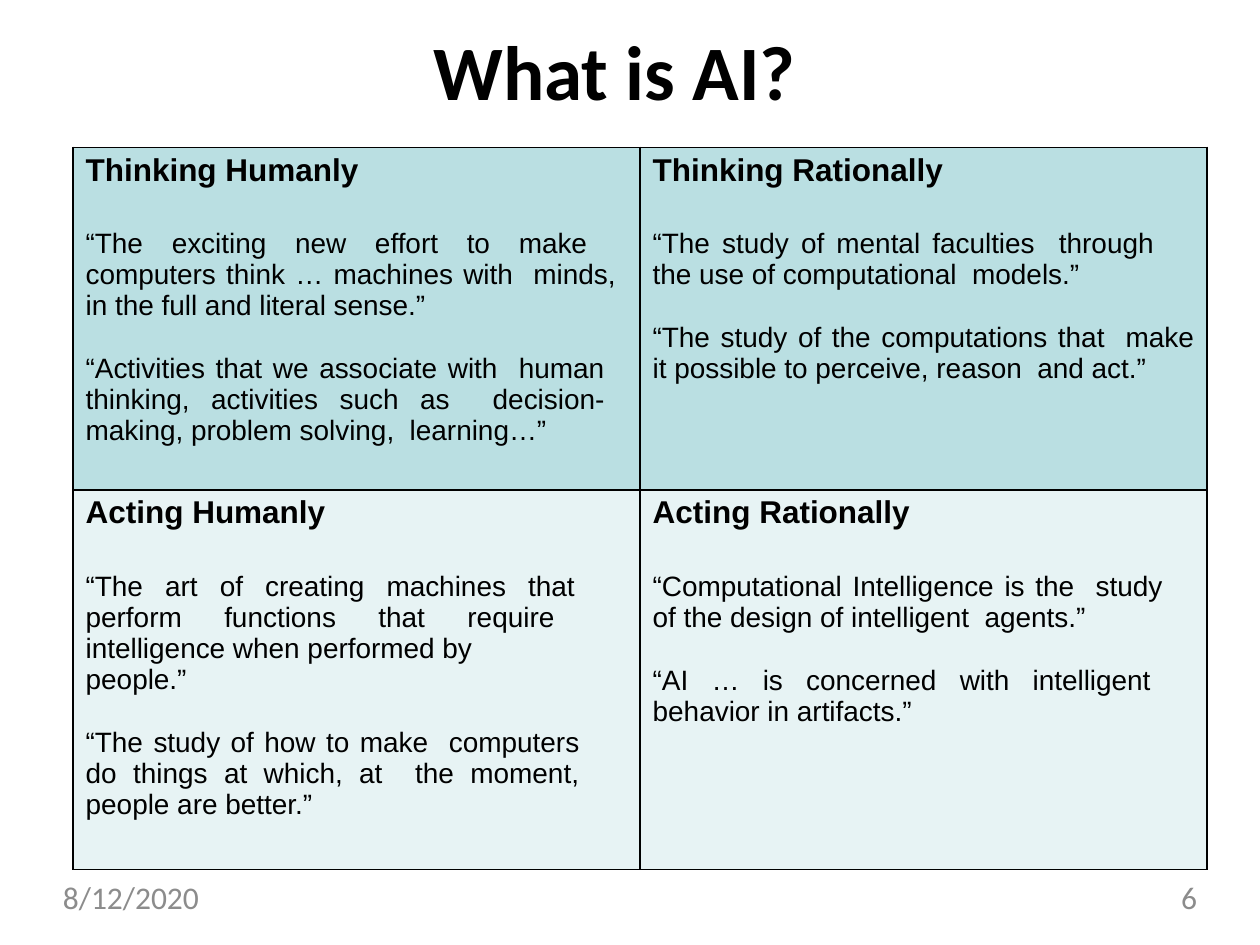
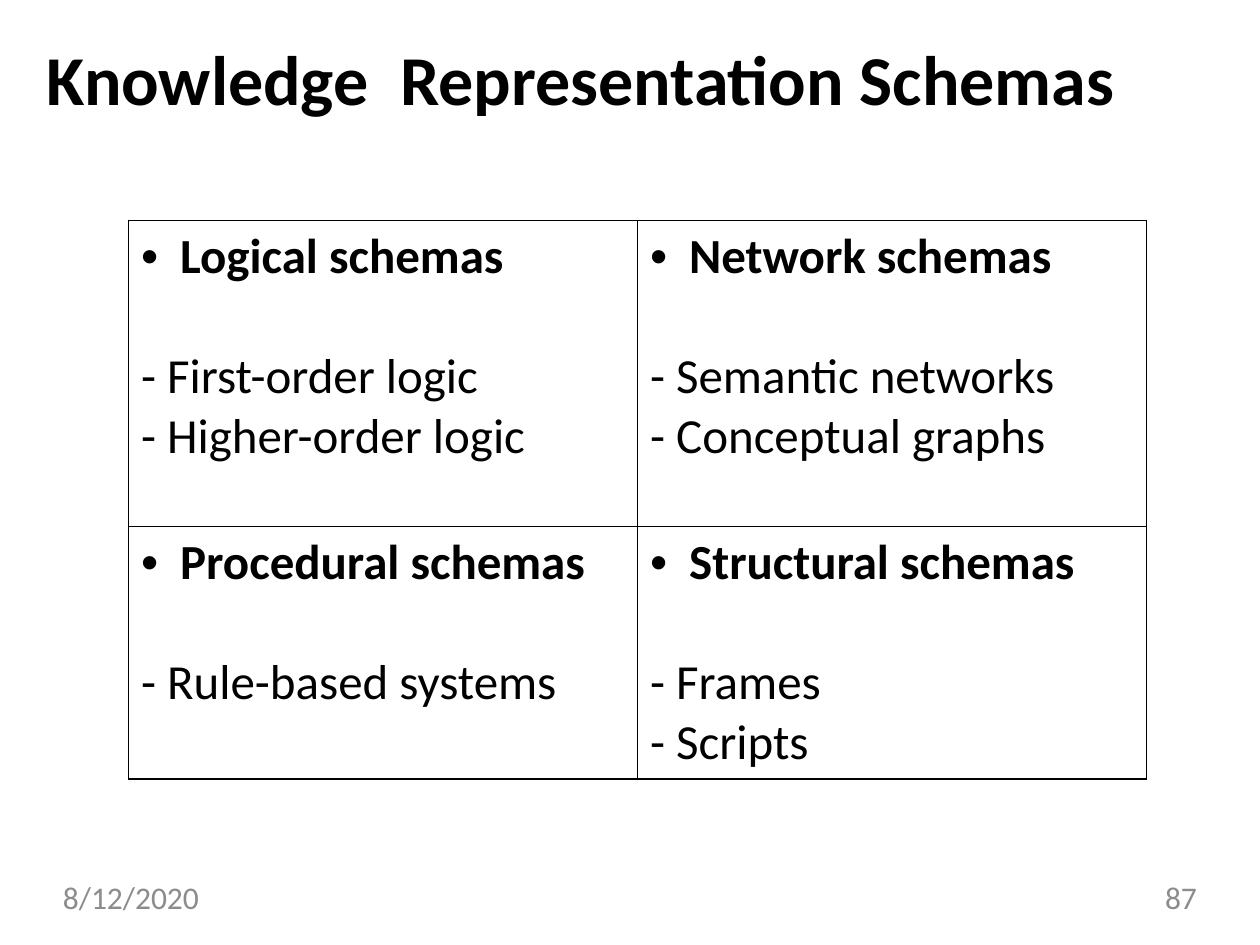
from lxml.etree import SubElement
from pptx import Presentation
from pptx.dml.color import RGBColor
from pptx.enum.text import MSO_ANCHOR, MSO_AUTO_SIZE, PP_ALIGN
from pptx.oxml.ns import qn
from pptx.util import Inches, Pt

BLACK = RGBColor(0x00, 0x00, 0x00)
GREY = RGBColor(0x8C, 0x8C, 0x8C)
TEAL = RGBColor(0xBA, 0xDF, 0xE2)
PALE_TEAL = RGBColor(0xE7, 0xF3, 0xF4)
DATE = "8/12/2020"

# Each quote: wording, right indent in inches, space before in points.
AI_VIEWS = [
    [
        ("Thinking Humanly", [
            ("“The exciting new effort to make  computers think … machines with  minds, "
             "in the full and literal sense.”", 0.19, 23.2),
            ("“Activities that we associate with  human thinking, activities such as  "
             "decision-making, problem solving,  learning…”", 0.28, 18.2),
        ]),
        ("Thinking Rationally", [
            ("“The study of mental faculties  through the use of computational  models.”",
             0.42, 23.2),
            ("“The study of the computations that  make it possible to perceive, reason  "
             "and act.”", 0.1, 18.2),
        ]),
    ],
    [
        ("Acting Humanly", [
            ("“The art of creating machines that  perform functions that require  "
             "intelligence when performed by", 0.34, 23.2),
            ("people.”", 0.34, 0.1),
            ("“The study of how to make  computers do things at which, at  the moment, "
             "people are better.”", 0.48, 18.2),
        ]),
        ("Acting Rationally", [
            ("“Computational Intelligence is the  study of the design of intelligent  "
             "agents.”", 0.35, 23.2),
            ("“AI … is concerned with intelligent  behavior in artifacts.”", 0.26, 18.2),
        ]),
    ],
]

SCHEMAS = [
    [("Logical schemas", ["- First-order logic", "- Higher-order logic"]),
     ("Network schemas", ["- Semantic networks", "- Conceptual graphs"])],
    [("Procedural schemas", ["- Rule-based systems"]),
     ("Structural schemas", ["- Frames", "- Scripts"])],
]


def style(paragraph, size, font="Calibri", color=BLACK, bold=False):
    """Format every run of a paragraph."""
    for run in paragraph.runs:
        run.font.name = font
        run.font.size = Pt(size)
        run.font.color.rgb = color
        run.font.bold = bold


def place(shape, box):
    """Move a shape to a left, top, width, height box in inches."""
    shape.left, shape.top, shape.width, shape.height = map(Inches, box)


def set_margins(holder, left=0, top=0, right=0, bottom=0):
    """Set the inner margins of a text frame or cell in inches."""
    holder.margin_left, holder.margin_top = Inches(left), Inches(top)
    holder.margin_right, holder.margin_bottom = Inches(right), Inches(bottom)


def add_title(slide, text, box, size, indent):
    """Fill and format the title placeholder."""
    place(slide.shapes.title, box)
    frame = slide.shapes.title.text_frame
    frame.text = text
    frame.auto_size = MSO_AUTO_SIZE.NONE
    frame.vertical_anchor = MSO_ANCHOR.TOP
    set_margins(frame, left=indent, top=0.03)
    frame.paragraphs[0].alignment = PP_ALIGN.LEFT
    style(frame.paragraphs[0], size, bold=True)


def add_footer(slide, number):
    """Add the date at the left and the page number at the right."""
    for text, left, alignment in ((DATE, 0.5, PP_ALIGN.LEFT), (number, 7.2, PP_ALIGN.RIGHT)):
        footer = slide.shapes.add_textbox(Inches(left), Inches(6.97), Inches(2.3), Inches(0.38))
        frame = footer.text_frame
        frame.word_wrap = True
        frame.text = text
        set_margins(frame)
        frame.paragraphs[0].alignment = alignment
        style(frame.paragraphs[0], 18, color=GREY)


def draw_borders(cell):
    """Give a cell thin black borders on all sides."""
    properties = cell._tc.get_or_add_tcPr()
    for position, side in enumerate(("a:lnL", "a:lnR", "a:lnT", "a:lnB")):
        line = SubElement(properties, qn(side), w=str(Pt(1)))
        fill = SubElement(line, qn("a:solidFill"))
        SubElement(fill, qn("a:srgbClr"), val=str(BLACK))
        properties.insert(position, line)


def add_grid(slide, box, row_heights, fills):
    """Add a bordered two-column table and return it."""
    frame = slide.shapes.add_table(len(row_heights), 2, *map(Inches, box))
    table = frame.table
    table.first_row = table.horz_banding = False
    for row, height, color in zip(table.rows, row_heights, fills):
        row.height = Inches(height)
        for cell in row.cells:
            if color is None:
                cell.fill.background()
            else:
                cell.fill.solid()
                cell.fill.fore_color.rgb = color
            draw_borders(cell)
    return table


def fill_view(cell, view):
    """Write a heading and its justified quotes into a cell."""
    heading, quotes = view
    set_margins(cell, left=0.1, top=0.04)
    frame = cell.text_frame
    frame.text = heading
    style(frame.paragraphs[0], 18, "Arial", bold=True)
    for wording, right_indent, gap in quotes:
        quote = frame.add_paragraph()
        quote.text = wording
        quote.alignment = PP_ALIGN.JUSTIFY
        quote.space_before = Pt(gap)
        quote._p.get_or_add_pPr().set("marR", str(Inches(right_indent)))
        style(quote, 16, "Arial")


def fill_schema(cell, schema):
    """Write a bulleted heading and its examples into a cell."""
    heading, examples = schema
    frame = cell.text_frame
    frame.text = heading
    properties = frame.paragraphs[0]._p.get_or_add_pPr()
    properties.set("marL", str(Inches(0.31)))
    properties.set("indent", str(-Inches(0.31)))
    SubElement(properties, qn("a:buFont"), typeface="Arial")
    SubElement(properties, qn("a:buChar"), char="•")
    style(frame.paragraphs[0], 28, bold=True)
    for index, wording in enumerate(examples):
        example = frame.add_paragraph()
        example.text = wording
        example.space_before = Pt(0 if index else 34.2)
        style(example, 28)


def fill_grid(table, content, fill_cell):
    """Fill each table cell from the matching content entry."""
    for row, entries in zip(table.rows, content):
        for cell, entry in zip(row.cells, entries):
            fill_cell(cell, entry)


def build_ai_slide(slide):
    """Build the four views of AI."""
    add_title(slide, "What is AI?", (3.43, 0.16, 3.12, 0.76), 44, 0.01)
    table = add_grid(slide, (0.58, 1.17, 9, 5.73), (2.72, 3.01), (TEAL, PALE_TEAL))
    fill_grid(table, AI_VIEWS, fill_view)
    add_footer(slide, "6")


def build_schema_slide(slide):
    """Build the four knowledge representation schemas."""
    add_title(slide, "Knowledge  Representation Schemas", (0.31, 0.25, 8.75, 0.69), 40, 0.06)
    table = add_grid(slide, (1.02, 1.75, 8.08, 4.4), (2.43, 1.97), (None, None))
    fill_grid(table, SCHEMAS, fill_schema)
    add_footer(slide, "87")


def main():
    """Build and save the presentation."""
    deck = Presentation()
    deck.slide_width, deck.slide_height = Inches(10), Inches(7.5)
    title_only = deck.slide_layouts[5]
    for build in (build_ai_slide, build_schema_slide):
        build(deck.slides.add_slide(title_only))
    deck.save("out.pptx")


if __name__ == "__main__":
    main()
